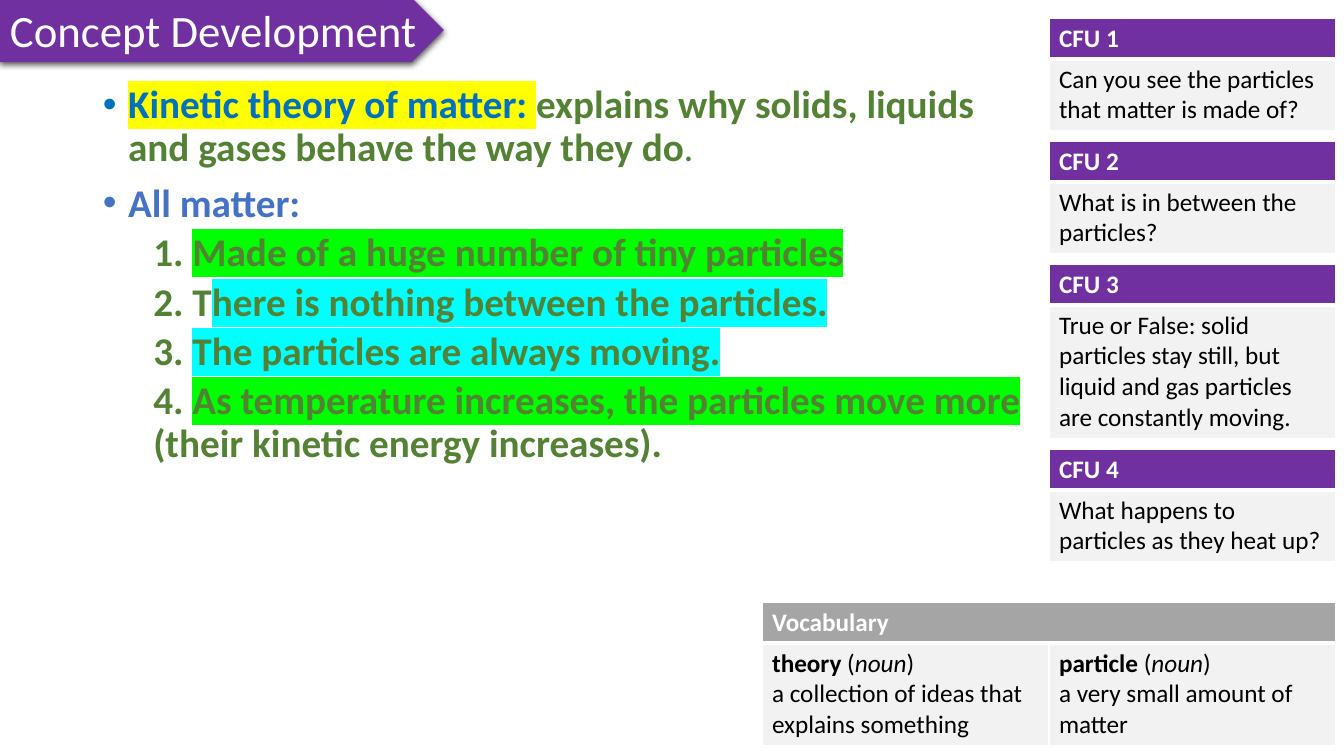
from lxml import etree
from pptx import Presentation
from pptx.dml.color import RGBColor as RGB
from pptx.enum.shapes import MSO_SHAPE as SHAPE
from pptx.enum.text import MSO_ANCHOR as ANCHOR, PP_ALIGN as ALIGN
from pptx.oxml import parse_xml
from pptx.oxml.ns import qn
from pptx.util import Emu, Pt

NS = 'xmlns:a="http://schemas.openxmlformats.org/drawingml/2006/main"'
COLORS = {
    "purple": "7030A0", "grey": "A5A5A5", "pale": "F2F2F2",
    "white": "FFFFFF", "black": "000000", "blue": "0070C0",
    "accent": "4472C4", "green": "548235", "yellow": "FFFF00",
    "lime": "00FF00", "cyan": "00FFFF",
}
HEAD_H, LINE_H, PAD, COL_W = 41, 31, 10, 287


def px(n):
    return Emu(round(n * 914400 / 100.8))


def box_px(box):
    return [px(n) for n in box]


def add_run(p, text, color, highlight=None, **fmt):
    r = p.add_run()
    r.text = text
    r.font.color.rgb = RGB.from_string(COLORS[color])
    for name, value in {"name": "Calibri", "size": Pt(18), **fmt}.items():
        setattr(r.font, name, value)
    if highlight:
        mark = parse_xml(f'<a:highlight {NS}><a:srgbClr val="{COLORS[highlight]}"/></a:highlight>')
        r.font._element.find(qn("a:solidFill")).addnext(mark)


def add_paragraphs(tf, paragraphs):
    for i, runs in enumerate(paragraphs):
        p = tf.paragraphs[0] if i == 0 else tf.add_paragraph()
        for text, color, fmt in runs:
            add_run(p, text, color, **fmt)


def add_banner(s, box, title):
    sp = s.shapes.add_shape(SHAPE.PENTAGON, *box_px(box))
    sp.shadow.inherit = False
    sp.fill.solid()
    sp.fill.fore_color.rgb = RGB.from_string(COLORS["purple"])
    sp.line.fill.background()
    shadow = parse_xml(
        f'<a:outerShdw {NS} blurRad="57150" dist="19050" dir="5400000" algn="ctr" rotWithShape="0">'
        '<a:srgbClr val="000000"><a:alpha val="63000"/></a:srgbClr></a:outerShdw>')
    sp._element.spPr.find(qn("a:effectLst")).append(shadow)
    tf = sp.text_frame
    tf.word_wrap = False
    tf.vertical_anchor = ANCHOR.MIDDLE
    p = tf.paragraphs[0]
    p.alignment = ALIGN.LEFT
    add_run(p, title, "white", size=Pt(32))


def format_paragraph(p, bullet, first):
    pPr = p._p.get_or_add_pPr()
    pPr.set("marL", "228600" if bullet else "457200")
    pPr.set("indent", "-228600" if bullet else "0")
    if bullet:
        etree.SubElement(pPr, qn("a:buFont")).set("typeface", "Arial")
        etree.SubElement(pPr, qn("a:buChar")).set("char", "•")
    else:
        p.level = 1
        etree.SubElement(pPr, qn("a:buNone"))
    p.line_spacing = 0.9
    p.space_before = Pt(0 if first else 10 if bullet else 5)


def add_notes_body(s, box, items):
    tf = s.shapes.add_textbox(*box_px(box)).text_frame
    tf.word_wrap = True
    for i, (bullet, runs) in enumerate(items):
        p = tf.paragraphs[0] if i == 0 else tf.add_paragraph()
        format_paragraph(p, bullet, i == 0)
        for text, color, highlight, bold in runs:
            add_run(p, text, color, highlight, size=Pt(28), bold=bold)


def style_cell(cell, fill, top=1, bottom=1):
    cell.fill.solid()
    cell.fill.fore_color.rgb = RGB.from_string(COLORS[fill])
    tcPr = cell._tc.get_or_add_tcPr()
    for i, (side, width) in enumerate({"L": 1, "R": 1, "T": top, "B": bottom}.items()):
        tcPr.insert(i, parse_xml(
            f'<a:ln{side} {NS} w="{Pt(width)}"><a:solidFill>'
            f'<a:srgbClr val="{COLORS["white"]}"/></a:solidFill></a:ln{side}>'))


def add_card(s, left, top, heading, fill, bodies, lines):
    n = len(bodies)
    body_h = LINE_H * lines + PAD
    frame = s.shapes.add_table(2, n, *box_px((left, top, COL_W * n, HEAD_H + body_h)))
    table = frame.table
    table.horz_banding = False
    for row, height in zip(table.rows, (HEAD_H, body_h)):
        row.height = px(height)
    for i, body in enumerate(bodies):
        table.columns[i].width = px(COL_W)
        style_cell(table.cell(0, i), fill, bottom=3)
        style_cell(table.cell(1, i), "pale", top=3)
        add_paragraphs(table.cell(1, i).text_frame, body)
    head = table.cell(0, 0)
    if n > 1:
        head.merge(table.cell(0, n - 1))
    add_paragraphs(head.text_frame, [[(heading, "white", {"bold": True})]])


def add_questions(s, left, top, questions):
    for i, (question, lines) in enumerate(questions, 1):
        body = [[(question, "black", {"bold": False})]]
        add_card(s, left, top, f"CFU {i}", "purple", [body], lines)
        top += HEAD_H + LINE_H * lines + 2 * PAD


def add_vocabulary(s, left, top, words):
    plain = {"bold": False}
    bodies = [[
        [(word, "black", {"bold": True}), (" (", "black", plain),
         ("noun", "black", {"bold": False, "italic": True}), (")", "black", plain)],
        [(meaning, "black", plain)],
    ] for word, meaning in words]
    add_card(s, left, top, "Vocabulary", "grey", bodies, 3)


QUESTIONS = [
    ("Can you see the particles that matter is made of?", 2),
    ("What is in between the particles?", 2),
    ("True or False: solid particles stay still, but liquid and gas particles are constantly moving.", 4),
    ("What happens to particles as they heat up?", 2),
]
WORDS = [
    ("theory", "a collection of ideas that explains something"),
    ("particle", "a very small amount of matter"),
]
FACTS = [
    ("1. ", "Made of a huge number of tiny particles", "lime", ""),
    ("2. T", "here is nothing between the particles.", "cyan", ""),
    ("3. ", "The particles are always moving.", "cyan", ""),
    ("4. ", "As temperature increases, the particles move more", "lime",
     " (their kinetic energy increases)."),
]
NOTES = [
    (True, [("Kinetic theory of matter: ", "blue", "yellow", True),
            ("explains why solids, liquids and gases behave the way they do", "green", None, True),
            (".", "green", None, False)]),
    (True, [("All matter:", "accent", None, True)]),
] + [
    (False, [(text, "green", mark, True)
             for text, mark in ((start, None), (marked, color), (rest, None)) if text])
    for start, marked, color, rest in FACTS
]


def main():
    prs = Presentation()
    prs.slide_width, prs.slide_height = px(1344), px(756)
    s = prs.slides.add_slide(prs.slide_layouts[6])
    add_banner(s, (0, -2, 444, 64), "Concept Development")
    add_notes_body(s, (93, 80, 944, 664), NOTES)
    add_questions(s, 1049, 18, QUESTIONS)
    add_vocabulary(s, 762, 602, WORDS)
    prs.save("out.pptx")


if __name__ == "__main__":
    main()
